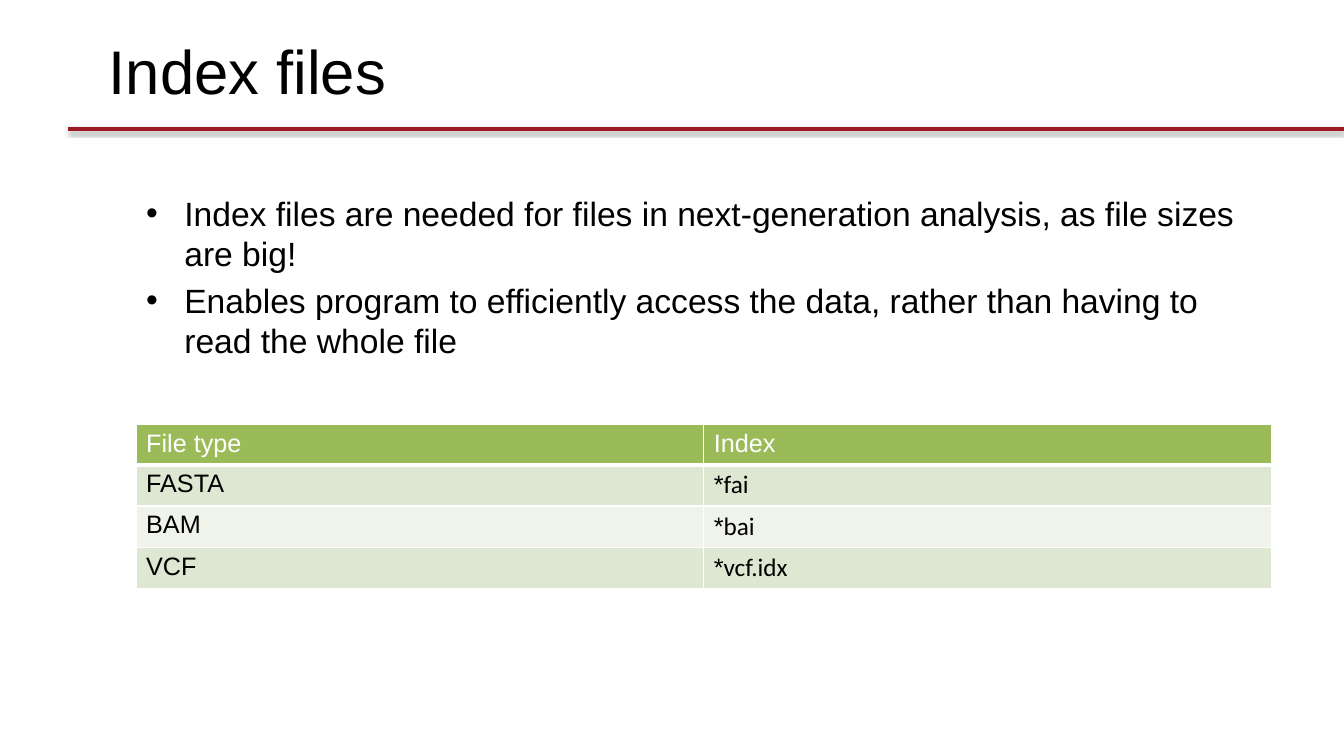
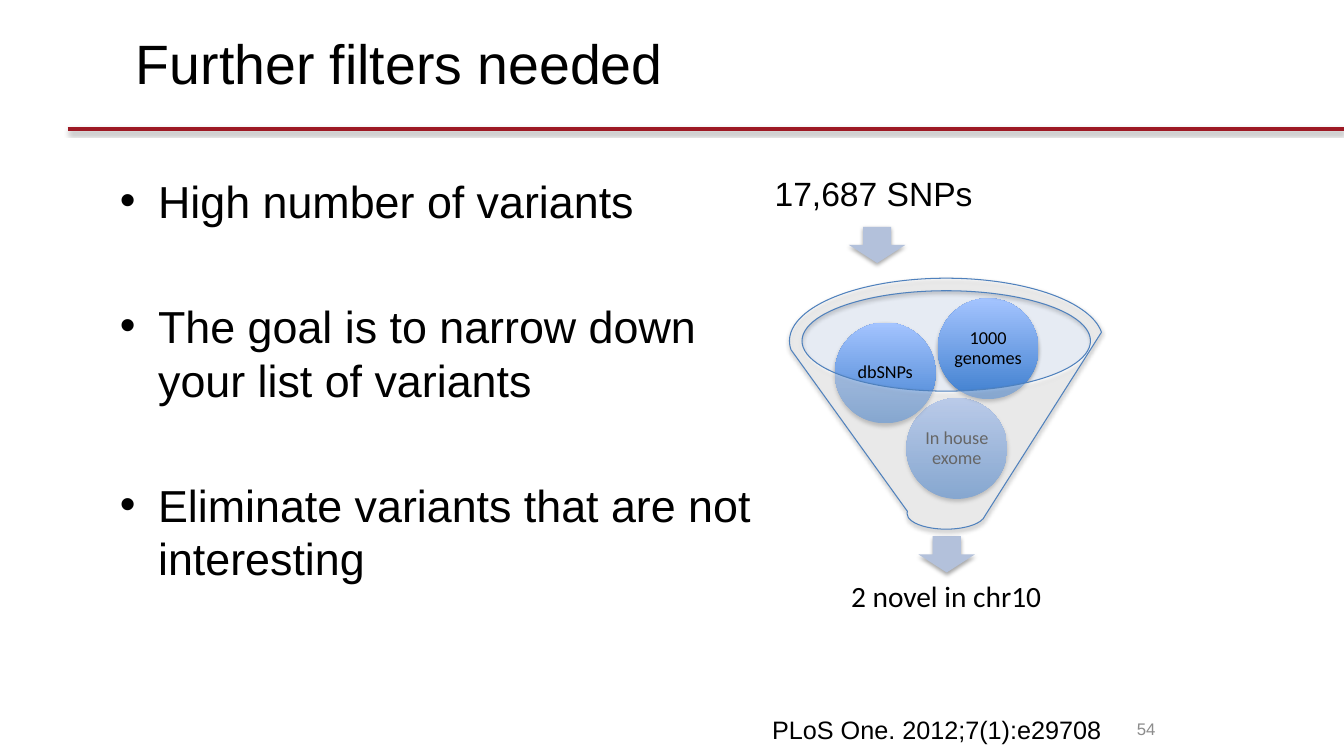
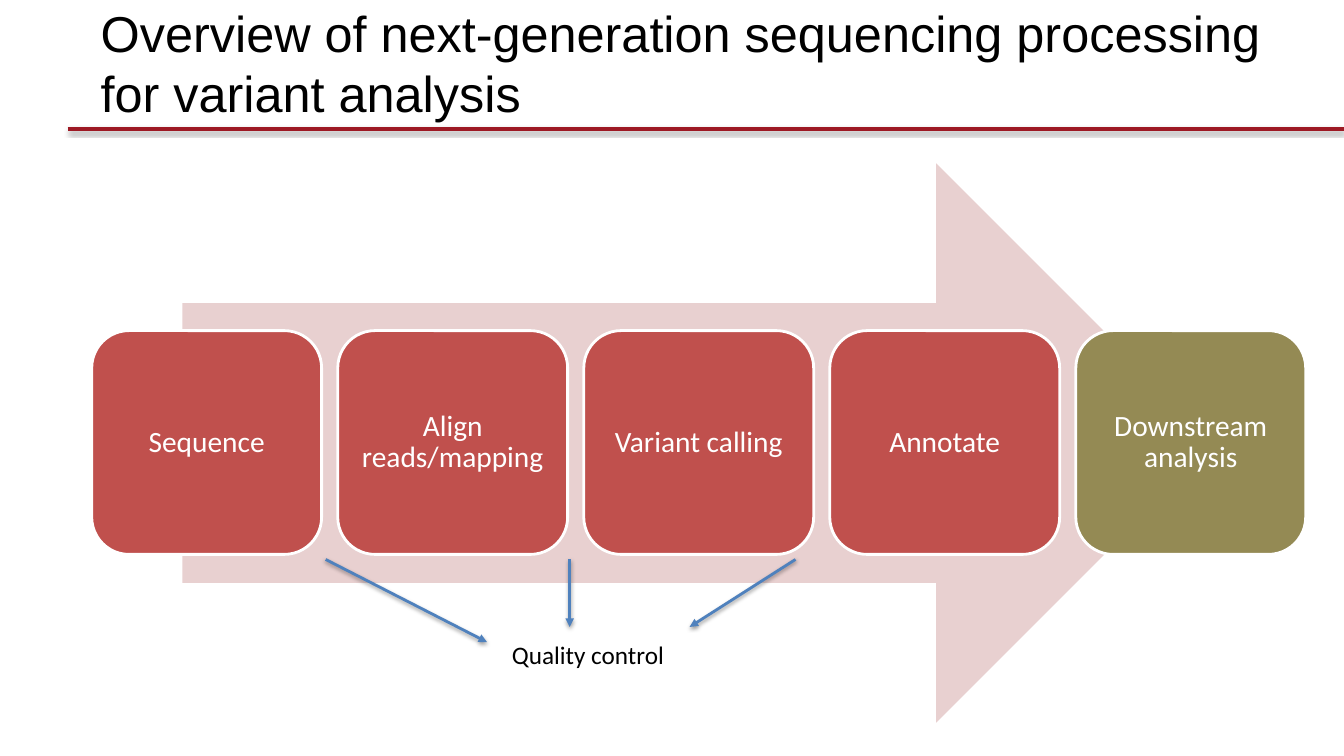
from lxml import etree
from pptx import Presentation
from pptx import util as u
from pptx.dml.color import RGBColor
from pptx.enum import shapes, text
from pptx.oxml.ns import qn

PX = 9144  # EMU per px, 100 px to the inch
WIDE, HIGH = 1333, 750
KIND = shapes.MSO_SHAPE
MID = text.MSO_ANCHOR.MIDDLE
LEFT, MIDST, RIGHT = text.PP_ALIGN.LEFT, text.PP_ALIGN.CENTER, text.PP_ALIGN.RIGHT
HUES = {
    "black": "000000", "white": "FFFFFF", "gray": "8C8C8C", "rule": "9D1924",
    "head": "9BBB59", "band": "DEE7D1", "pale": "EFF3EA",
    "blue": "4F81BD", "deep": "3F7FCE", "sky": "A4C4FF", "mist": "C2CDE1",
    "steel": "B3C1DB", "blush": "E8D0D0", "red": "C0504D", "olive": "948A54",
}


def hue(name):
    return RGBColor.from_string(HUES[name])


def px(*nums):
    return [u.Emu(n * PX) for n in nums]


def sub(node, tag, **attrs):
    return etree.SubElement(node, qn(tag), {k: str(v) for k, v in attrs.items()})


def shade(item, alpha=0, dist=1.6):
    """Replace the theme shadow: a soft one downwards, or none when alpha is 0."""
    list_ = sub(item._element.spPr, "a:effectLst")
    if alpha:
        drop = sub(list_, "a:outerShdw", blurRad=u.Pt(3.1), dist=u.Pt(dist),
                   dir=5400000, rotWithShape=0)
        sub(sub(drop, "a:srgbClr", val=HUES["black"]), "a:alpha", val=alpha * 1000)


def put(frame, paras, size=18, font="Arial", color="black", align=LEFT,
        lead=None, gap=0, bullet=False):
    """Fill a frame; a paragraph is a string or a tuple of (words, font) runs."""
    for i, runs in enumerate([paras] if isinstance(paras, str) else paras):
        para = frame.add_paragraph() if i else frame.paragraphs[0]
        para.alignment = align
        if bullet:
            props = para._p.get_or_add_pPr()
            props.set("marL", str(38 * PX))
            props.set("indent", str(-38 * PX))
            sub(props, "a:buFont", typeface="Arial")
            sub(props, "a:buChar", char="•")
        if lead:
            para.line_spacing = lead
        if i and gap:
            para.space_before = u.Pt(gap)
        for words, face in [(runs, font)] if isinstance(runs, str) else runs:
            run = para.add_run()
            run.text = words
            run.font.size, run.font.name = u.Pt(size), face
            run.font.bold = False
            run.font.color.rgb = hue(color)


def inset(frame, side):
    frame.margin_left = frame.margin_right = u.Emu(side * PX)
    frame.margin_top = frame.margin_bottom = u.Emu(side * PX)


def label(slide, at, paras, wrap=True, anchor=None, pad=None, **look):
    frame = slide.shapes.add_textbox(*px(*at)).text_frame
    frame.word_wrap = wrap
    if anchor is not None:
        frame.vertical_anchor = anchor
    if pad is not None:
        inset(frame, pad)
    put(frame, paras, **look)


def shape(slide, kind, at, fill, line=None, width=1, clear=None, glow=0,
          words=None, pad=0, **look):
    """Preset shape; fill is one colour, or a (bottom, top) pair for a gradient."""
    item = slide.shapes.add_shape(kind, *px(*at))
    if isinstance(fill, tuple):
        item.fill.gradient()
        item.fill.gradient_angle = 90
        for stop, name in zip(item.fill.gradient_stops, fill):
            stop.color.rgb = hue(name)
    else:
        item.fill.solid()
        item.fill.fore_color.rgb = hue(fill)
    if clear:
        tint = item._element.spPr.find(qn("a:solidFill"))[0]
        sub(tint, "a:alpha", val=clear * 1000)
    if line:
        item.line.color.rgb, item.line.width = hue(line), u.Pt(width)
    else:
        item.line.fill.background()
    shade(item, glow, 1.8)
    if words:
        frame = item.text_frame
        frame.word_wrap, frame.vertical_anchor = True, MID
        inset(frame, pad)
        put(frame, words, font="Calibri", align=MIDST, lead=0.9, **look)


def stroke(slide, ends, color, width, arrow=False):
    item = slide.shapes.add_connector(shapes.MSO_CONNECTOR.STRAIGHT, *px(*ends))
    item.line.color.rgb, item.line.width = hue(color), u.Pt(width)
    if arrow:
        sub(item._element.spPr.find(qn("a:ln")), "a:tailEnd", type="triangle")
    shade(item, 38)


def start(deck, title, at, size):
    """New slide with the red rule and its title."""
    slide = deck.slides.add_slide(deck.slide_layouts[6])
    stroke(slide, (67, 128, WIDE, 128), "rule", 3)
    label(slide, at, title, anchor=MID, size=size)
    return slide


def edge(cell, low):
    props = cell._tc.get_or_add_tcPr()
    for side, width in zip("LRTB", (1, 1, 1, low)):
        line = sub(props, "a:ln" + side, w=u.Pt(width))
        sub(sub(line, "a:solidFill"), "a:srgbClr", val=HUES["white"])


def grid(slide, at, rows, highs):
    table = slide.shapes.add_table(len(rows), len(rows[0]), *px(*at)).table
    for r, row in enumerate(rows):
        table.rows[r].height = u.Emu(highs[r] * PX)
        for c, words in enumerate(row):
            cell = table.cell(r, c)
            edge(cell, 1 if r else 3)
            cell.fill.solid()
            cell.fill.fore_color.rgb = hue(("pale", "band")[r % 2] if r else "head")
            put(cell.text_frame, [words], color="black" if r else "white")


def index(deck):
    slide = start(deck, "Index files", (98, 26, 900, 86), 44)
    label(slide, (135, 186, 1105, 235), [
        "Index files are needed for files in next-generation analysis, "
        "as file sizes are big!",
        "Enables program to efficiently access the data, rather than having "
        "to read the whole file",
    ], size=24, gap=4.8, bullet=True)
    files = [("FASTA", "fai"), ("BAM", "bai"), ("VCF", "vcf.idx")]
    rows = [("File type", "Index")]
    rows += [(kind, (("*", "Arial"), (end, "Calibri"))) for kind, end in files]
    grid(slide, (135, 421, 1126, 160), rows, [37, 41, 41, 41])


def filters(deck):
    slide = start(deck, "Further filters needed", (125, 20, 900, 83), 39.6)
    label(slide, (109, 167, 666, 483), [
        "High number of variants",
        "The goal is to narrow down your list of variants",
        "Eliminate variants that are not interesting",
    ], size=32, gap=51, bullet=True)
    label(slide, (1056, 702, 100, 42), "54", anchor=MID, size=12,
          color="gray", align=RIGHT)

    shape(slide, KIND.OVAL, (795, 288, 287, 100), "mist", clear=40)
    for left, top in ((911, 532), (842, 225)):
        shape(slide, KIND.DOWN_ARROW, (left, top, 56, 36), "steel", glow=35)
    for left, top, words in ((899, 395, "In house exome"), (828, 320, "dbSNPs"),
                             (930, 296, "1000 genomes")):
        shape(slide, KIND.OVAL, (left, top, 100, 100), ("deep", "sky"), glow=35,
              words=words, pad=2, size=13)
    shape(slide, KIND.FUNNEL, (783, 276, 311, 249), "white", line="blue",
          width=0.75, clear=40, glow=35)
    label(slide, (805, 560, 267, 67), "2 novel in chr10", anchor=MID, pad=16,
          size=21, font="Calibri", align=MIDST, lead=0.9)
    label(slide, (733, 158, 267, 67), "17,687 SNPs", anchor=MID, pad=16,
          size=24, align=MIDST)
    label(slide, (756, 704, 350, 40), "PLoS One. 2012;7(1):e29708", wrap=False)


def process(deck):
    slide = start(deck, "Overview of next-generation sequencing processing "
                  "for variant analysis", (90, 0, 1188, 124), 36)
    shape(slide, KIND.RIGHT_ARROW, (181, 162, 1025, 555), "blush")
    steps = ["Sequence", "Align reads/mapping", "Variant calling", "Annotate",
             "Downstream analysis"]
    for i, step in enumerate(steps):
        shape(slide, KIND.ROUNDED_RECTANGLE, (91 + 244 * i, 328, 228, 222),
              "olive" if step == steps[-1] else "red", line="white", width=2,
              words=step, pad=9, size=21, color="white")
    label(slide, (498, 629, 173, 40), "Quality control", wrap=False, font="Calibri")
    for ends in ((323, 555, 483, 637), (565, 555, 565, 622), (789, 555, 684, 622)):
        stroke(slide, ends, "blue", 2, arrow=True)


def main():
    deck = Presentation()
    deck.slide_width, deck.slide_height = px(WIDE, HIGH)
    index(deck)
    filters(deck)
    process(deck)
    deck.save("out.pptx")


if __name__ == "__main__":
    main()
